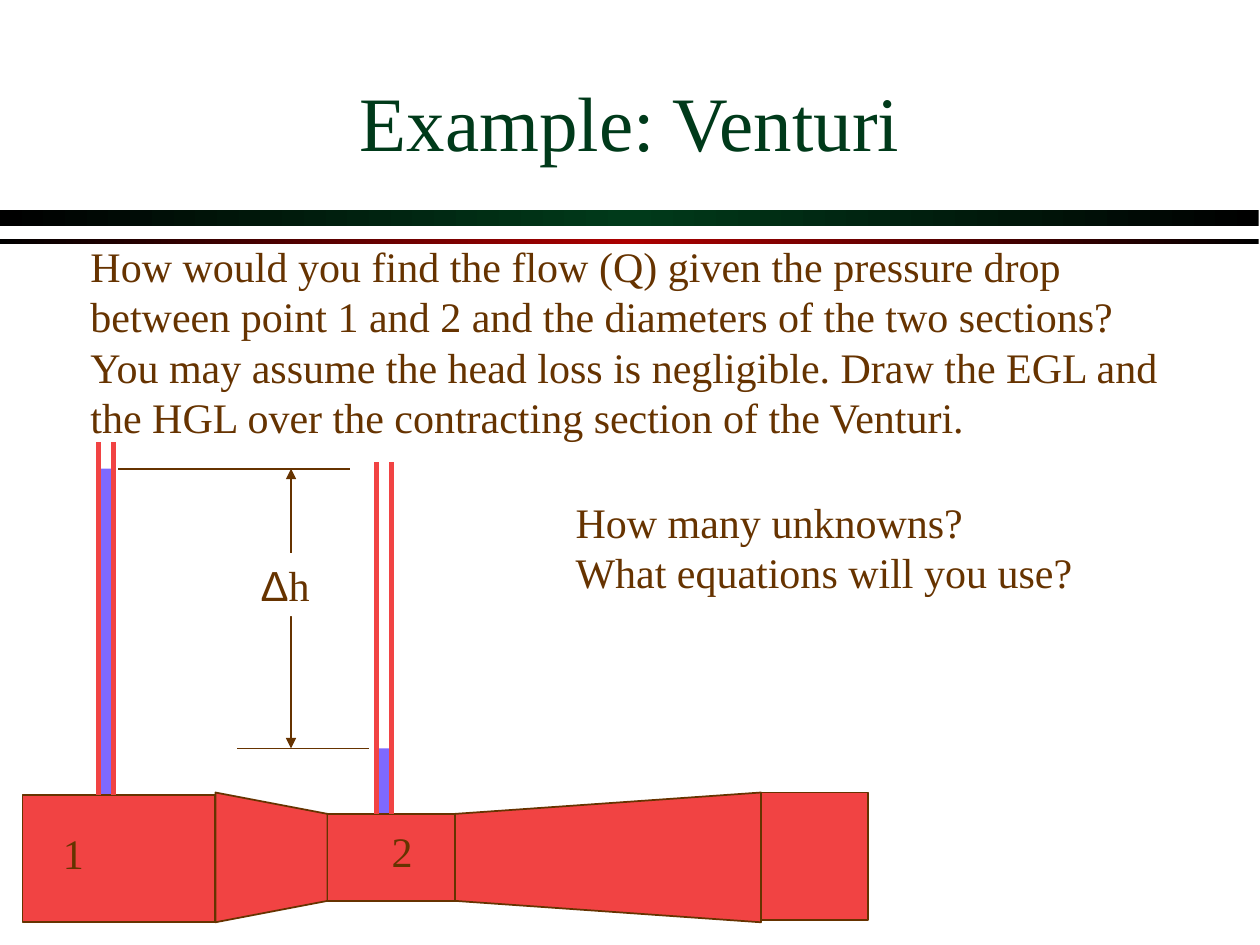
from copy import deepcopy

from lxml import etree
from pptx import Presentation
from pptx.dml.color import RGBColor
from pptx.enum.shapes import MSO_CONNECTOR, MSO_SHAPE
from pptx.enum.text import MSO_ANCHOR, MSO_AUTO_SIZE, PP_ALIGN
from pptx.oxml.ns import qn
from pptx.util import Inches, Pt

RECTANGLE = MSO_SHAPE.RECTANGLE
STRAIGHT = MSO_CONNECTOR.STRAIGHT
MIDDLE = MSO_ANCHOR.MIDDLE
GROW = MSO_AUTO_SIZE.SHAPE_TO_FIT_TEXT
CENTER, LEFT = PP_ALIGN.CENTER, PP_ALIGN.LEFT

COLUMNS, ROWS = 100, 75
SERIF, SANS = "Times New Roman", "Arial"
GREEN, BROWN, RED, BLUE = "003A1A", "663300", "F14343", "7E69FF"
BLACK, WHITE, DARK_RED = "000000", "FFFFFF", "AC0000"


def color(hex_value):
    return RGBColor.from_string(hex_value)


def set_values(target, values):
    for name, value in values.items():
        setattr(target, name, value)


class Board:
    """Style and current slide; lengths are columns and rows of the grid."""

    text_format = {"size": Pt(24), "name": SERIF}
    line_spacing = Pt(28.8)

    def __init__(self, presentation):
        self.slide = presentation.slides.add_slide(presentation.slide_layouts[5])
        self.shapes = self.slide.shapes
        self.column = presentation.slide_width / COLUMNS
        self.row = presentation.slide_height / ROWS

    def place(self, *lengths):
        """Turn alternating columns and rows into slide units."""
        units = (self.column, self.row)
        return [round(length * units[index % 2]) for index, length in enumerate(lengths)]

    def paint(self, shape, fill, outline=None):
        shape.shadow.inherit = False
        shape.fill.solid()
        shape.fill.fore_color.rgb = color(fill)
        if outline:
            shape.line.color.rgb = color(outline)
            shape.line.width = Pt(1)
        else:
            shape.line.fill.background()
        return shape

    def title(self, text, box):
        title = self.shapes.title
        set_values(title, dict(zip(("left", "top", "width", "height"), self.place(*box))))
        title.text_frame.vertical_anchor = MIDDLE
        paragraph = title.text_frame.paragraphs[0]
        paragraph.alignment = CENTER
        run = paragraph.add_run()
        run.text = text
        set_values(run.font, {"size": Pt(44), "name": SERIF})
        run.font.color.rgb = color(GREEN)
        effects = etree.Element(qn("a:effectLst"))
        shadow = etree.SubElement(effects, qn("a:outerShdw"), dist="17961", dir="2700000")
        etree.SubElement(shadow, qn("a:srgbClr"), val=BLACK)
        run.font._element.find(qn("a:solidFill")).addnext(effects)

    def rectangle(self, box, fill, outline=None):
        return self.paint(self.shapes.add_shape(RECTANGLE, *self.place(*box)), fill, outline)

    def gradient_bar(self, box, middle):
        bar = self.rectangle(box, middle)
        bar.fill.gradient()
        bar.fill.gradient_angle = 0
        stop_list = bar._element.spPr.find(".//" + qn("a:gsLst"))
        stop_list.append(deepcopy(stop_list[0]))
        stops = zip(bar.fill.gradient_stops, (0, 0.5, 1), (BLACK, middle, BLACK))
        for stop, position, hex_value in stops:
            stop.position = position
            stop.color.rgb = color(hex_value)

    def polygon(self, points, fill, outline):
        start, *others = [self.place(*point) for point in points]
        builder = self.shapes.build_freeform(*start)
        builder.add_line_segments(others, close=True)
        self.paint(builder.convert_to_shape(), fill, outline)

    def line(self, ends, hex_value=BROWN, width=1, arrows=False):
        line = self.shapes.add_connector(STRAIGHT, *self.place(*ends))
        line.line.color.rgb = color(hex_value)
        line.line.width = Pt(width)
        if arrows:
            outline = line._element.spPr.find(qn("a:ln"))
            for end in ("a:headEnd", "a:tailEnd"):
                etree.SubElement(outline, qn(end), type="triangle")
        etree.SubElement(line._element.spPr, qn("a:effectLst"))

    def fill_text(self, shape, paragraphs, wrap=True):
        """Fill a shape with paragraphs, each a list of (text, font name)."""
        frame = shape.text_frame
        set_values(frame, {"word_wrap": wrap, "auto_size": GROW})
        for index, runs in enumerate(paragraphs):
            paragraph = frame.add_paragraph() if index else frame.paragraphs[0]
            set_values(paragraph, {"alignment": LEFT, "line_spacing": self.line_spacing})
            for text, font_name in runs:
                run = paragraph.add_run()
                run.text = text
                set_values(run.font, {**self.text_format, "name": font_name})
                run.font.color.rgb = color(BROWN)

    def text(self, box, *lines, wrap=False):
        shape = self.shapes.add_textbox(*self.place(*box))
        self.fill_text(shape, [[(line, SERIF)] for line in lines], wrap)


def draw_venturi(board):
    inlet, throat, outlet, end = 17.1, 26, 36.1, 60.4
    wide_top, wide_bottom, narrow_top, narrow_bottom = 62.9, 73.2, 64.6, 71.5
    for wide, narrow in ((inlet, throat), (end, outlet)):
        board.polygon(
            [(wide, wide_top), (narrow, narrow_top), (narrow, narrow_bottom), (wide, wide_bottom)],
            RED, BROWN)
    for box in ((1.8, 63.1, 15.3, 10.1),
                (end, wide_top, 8.5, 10.1),
                (throat, narrow_top, outlet - throat, narrow_bottom - narrow_top)):
        board.rectangle(box, RED, BROWN)
    for left, top, bottom in ((29.9, 36.7, 64.6), (7.8, 35.1, 63.1)):
        for wall in (left, left + 1.2):
            board.line((wall, top, wall, bottom), RED, 3)


def main():
    presentation = Presentation()
    presentation.slide_width, presentation.slide_height = Inches(10), Inches(7.5)
    board = Board(presentation)
    high_level, low_level = 37.2, 59.4

    board.gradient_bar((0, 16.7, 99.9, 1.2), GREEN)
    board.gradient_bar((0, 19, 99.9, 0.4), DARK_RED)
    board.title("Example: Venturi", (7.5, 3.3, 85, 12.5))
    board.rectangle((30, low_level, 1, 6.4), BLUE)
    board.rectangle((7.8, high_level, 1.1, 27.2), BLUE)
    draw_venturi(board)

    board.text(
        (6.2, 18.6, 89, 17),
        "How would you find the flow (Q) given the pressure drop between point 1 and 2 "
        "and the diameters of the two sections? You may assume the head loss is "
        "negligible. Draw the EGL and the HGL over the contracting section of the Venturi.",
        wrap=True)
    board.text((4, 65.2, 3.7, 5), "1")
    board.text((30.1, 65, 3.7, 5), "2")

    board.line((9.4, high_level, 27.8, high_level))
    board.line((29.3, low_level, 18.8, low_level))
    board.line((23.1, high_level, 23.1, low_level), arrows=True)
    label = board.rectangle((19.7, 43.9, 7, 5), WHITE)
    board.fill_text(label, [[("Δ", SANS), ("h", SERIF)]])
    board.text((44.7, 38.9, 41.4, 9), "How many unknowns?", "What equations will you use?")

    presentation.save("out.pptx")


if __name__ == "__main__":
    main()
